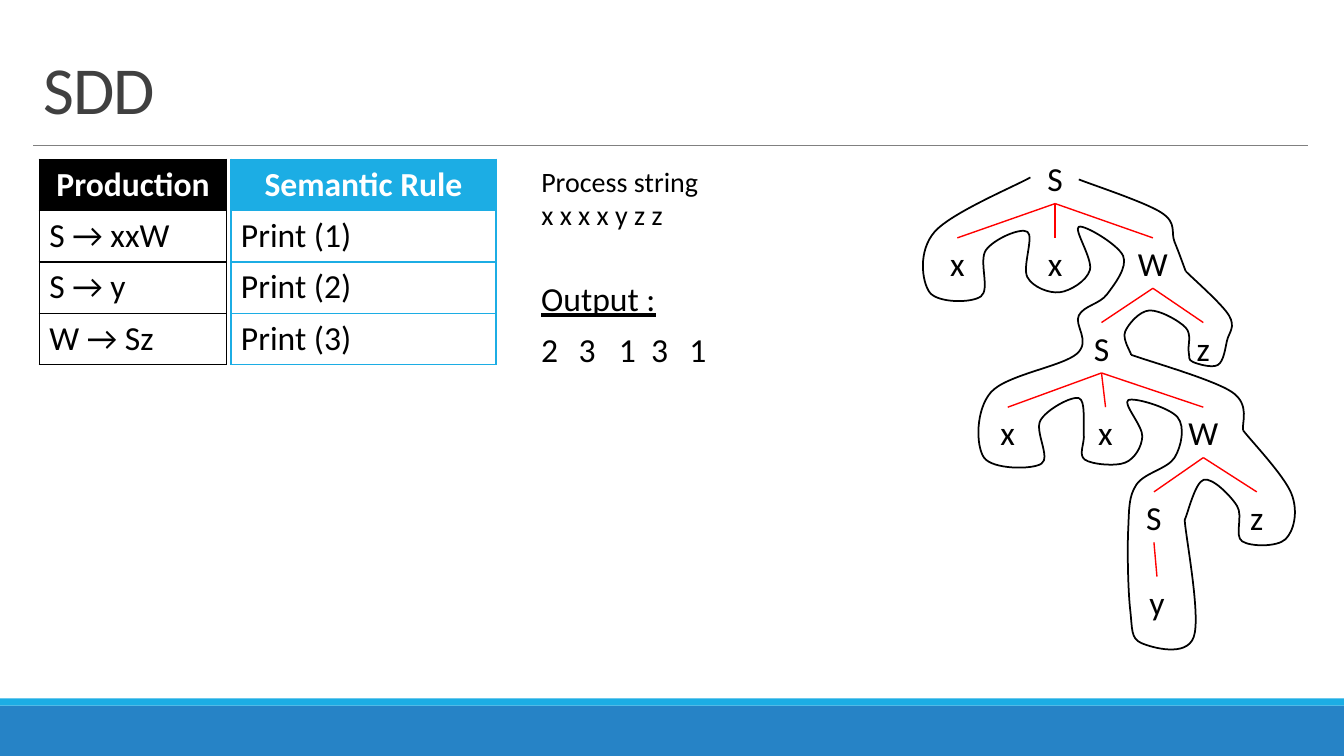
from lxml.etree import SubElement
from pptx import Presentation
from pptx.dml.color import RGBColor
from pptx.enum.shapes import MSO_CONNECTOR, MSO_SHAPE
from pptx.enum.text import MSO_ANCHOR, PP_ALIGN
from pptx.oxml.ns import qn
from pptx.util import Inches, Pt

BLACK = RGBColor(0x00, 0x00, 0x00)
WHITE = RGBColor(0xFF, 0xFF, 0xFF)
RED = RGBColor(0xFF, 0x00, 0x00)
GRAY = RGBColor(0x80, 0x80, 0x80)
DARK = RGBColor(0x40, 0x40, 0x40)
BLUE = RGBColor(0x26, 0x83, 0xC6)
CYAN = RGBColor(0x1C, 0xAD, 0xE4)
FONT = "Calibri"

BARS = [(7, 0.5, BLUE), (6.93, 0.07, CYAN)]
TABLES = [
    (0.39, 1.86, BLACK, ["Production", "S → xxW", "S → y", "W → Sz"]),
    (2.29, 2.63, CYAN, ["Semantic Rule", "Print (1)", "Print (2)", "Print (3)"]),
]
OUTPUT = [("2", 5.27), ("3", 5.64), ("1", 6.04), ("3", 6.36), ("1", 6.74)]

# label, left, level, parent index
TREE = [
    ("S", 10.21, 0, None),
    ("x", 9.24, 1, 0), ("x", 10.21, 1, 0), ("W", 11.18, 1, 0),
    ("S", 10.67, 2, 3), ("z", 11.68, 2, 3),
    ("x", 9.74, 3, 4), ("x", 10.71, 3, 4), ("W", 11.68, 3, 4),
    ("S", 11.19, 4, 8), ("z", 12.21, 4, 8),
    ("y", 11.22, 5, 9),
]
TREE_TOP, LEVEL_STEP, NODE_W, NODE_H = 1.52, 0.84, 0.51, 0.5

TRAVERSAL_START = (10.22, 1.76)
TRAVERSAL = [
    [(9.27, 2.3), (9.22, 2.9), (9.73, 2.94), (9.78, 2.48), (10.19, 2.3),
     (10.19, 2.75), (10.51, 2.9), (10.81, 2.68), (10.7, 2.25), (11.14, 2.54),
     (10.98, 2.92), (10.7, 3.13), (10.68, 3.51), (9.83, 3.89), (9.76, 4.54),
     (10.33, 4.6), (10.32, 4.17), (10.7, 3.95), (10.75, 4.3), (10.76, 4.56),
     (11.16, 4.59), (11.33, 4.33), (11.19, 3.97), (11.68, 4.14), (11.65, 4.54),
     (11.27, 4.81), (11.19, 5.25), (11.21, 6.05), (11.32, 6.38), (11.84, 6.32),
     (11.75, 5.16)],
    [(11.94, 4.76), (12.27, 5.02), (12.32, 5.37), (12.75, 5.35), (12.81, 4.9),
     (12.33, 4.27)],
    [(12.22, 3.89), (11.22, 3.52)],
    [(11.16, 3.29), (11.4, 3.08), (11.76, 3.25), (11.79, 3.49), (11.83, 3.59),
     (12.08, 3.62), (12.17, 3.38), (12.19, 3.13), (11.76, 2.69)],
    [(11.65, 2.4), (11.52, 2.11), (10.7, 1.78)],
]


def style(p, size, color, bold=False):
    for r in p.runs:
        r.font.name, r.font.size, r.font.bold = FONT, Pt(size), bold
        r.font.color.rgb = color


def add_text(s, text, left, top, width, height, size=24, color=BLACK, wrap=False):
    tf = s.shapes.add_textbox(*map(Inches, (left, top, width, height))).text_frame
    tf.word_wrap = wrap
    tf.text = text
    p = tf.paragraphs[0]
    style(p, size, color)
    return tf, p


def add_line(s, start, end, color, width):
    line = s.shapes.add_connector(MSO_CONNECTOR.STRAIGHT, *map(Inches, (*start, *end)))
    line.line.color.rgb, line.line.width = color, Pt(width)
    SubElement(line._element.spPr, qn("a:effectLst"))


def add_border(cell, color):
    tcPr = cell._tc.get_or_add_tcPr()
    for side in ("lnL", "lnR", "lnT", "lnB"):
        ln = SubElement(tcPr, qn(f"a:{side}"), w=str(Pt(1)))
        SubElement(SubElement(ln, qn("a:solidFill")), qn("a:srgbClr"), val=str(color))


def add_column_table(s, left, width, color, texts):
    row_h = 0.51
    table = s.shapes.add_table(len(texts), 1, Inches(left), Inches(1.58),
                               Inches(width), Inches(row_h * len(texts))).table
    for i, text in enumerate(texts):
        header = i == 0
        cell = table.cell(i, 0)
        cell.text = text
        add_border(cell, color)
        cell.fill.solid()
        cell.fill.fore_color.rgb = color if header else WHITE
        p = cell.text_frame.paragraphs[0]
        p.alignment = PP_ALIGN.CENTER if header else PP_ALIGN.LEFT
        style(p, 24, WHITE if header else BLACK, header)


def bezier_points(anchors):
    padded = [anchors[0], *anchors, anchors[-1]]
    for before, a, b, after in zip(padded, padded[1:], padded[2:], padded[3:]):
        yield tuple(v + (w - u) / 6 for u, v, w in zip(before, a, b))
        yield tuple(v - (w - u) / 6 for u, v, w in zip(a, b, after))
        yield b


def add_curve(s, anchors):
    builder = s.shapes.build_freeform(*map(Inches, anchors[0]))
    builder.add_line_segments([(Inches(x), Inches(y)) for x, y in bezier_points(anchors)],
                              close=False)
    sp = builder.convert_to_shape()
    sp.shadow.inherit = False
    sp.fill.background()
    sp.line.color.rgb, sp.line.width = BLACK, Pt(1.25)
    segments = list(sp._element.iter(qn("a:lnTo")))
    outline = segments[0].getparent()
    for i in range(0, len(segments), 3):
        bezier = SubElement(outline, qn("a:cubicBezTo"))
        for segment in segments[i:i + 3]:
            bezier.append(segment[0])
            outline.remove(segment)


def add_tree(s):
    def center(node):
        return node[1] + NODE_W / 2

    def top(node):
        return TREE_TOP + LEVEL_STEP * node[2]

    for node in TREE:
        tf, p = add_text(s, node[0], node[1], top(node), NODE_W, NODE_H, wrap=True)
        p.alignment = PP_ALIGN.CENTER
        if node[3] is not None:
            parent = TREE[node[3]]
            add_line(s, (center(parent), top(parent) + NODE_H),
                     (center(node), top(node)), RED, 1)


def main():
    prs = Presentation()
    prs.slide_width, prs.slide_height = Inches(13.33), Inches(7.5)
    s = prs.slides.add_slide(prs.slide_layouts[6])

    for top, height, color in BARS:
        bar = s.shapes.add_shape(MSO_SHAPE.RECTANGLE, 0, Inches(top),
                                 prs.slide_width, Inches(height))
        bar.shadow.inherit = False
        bar.fill.solid()
        bar.fill.fore_color.rgb = color
        bar.line.fill.background()
    add_line(s, (0.33, 1.44), (12.97, 1.44), GRAY, 0.5)

    tf, p = add_text(s, "SDD", 0.33, 0.31, 12.64, 1.01, 48, DARK, True)
    tf.vertical_anchor = MSO_ANCHOR.BOTTOM
    p.line_spacing = 0.85
    p.runs[0].font._element.set("spc", "-50")

    for table in TABLES:
        add_column_table(s, *table)

    add_text(s, "Process string\vx x x x y z z", 5.27, 1.58, 1.78, 0.77, 20)
    tf, p = add_text(s, "Output :", 5.27, 2.71, 1.34, 0.5)
    p.runs[0].font.underline = True
    for digit, left in OUTPUT:
        add_text(s, digit, left, 3.21, 0.37, 0.5)

    add_tree(s)
    start = TRAVERSAL_START
    for stroke in TRAVERSAL:
        add_curve(s, [start, *stroke])
        start = stroke[-1]
    prs.save("out.pptx")


if __name__ == "__main__":
    main()
